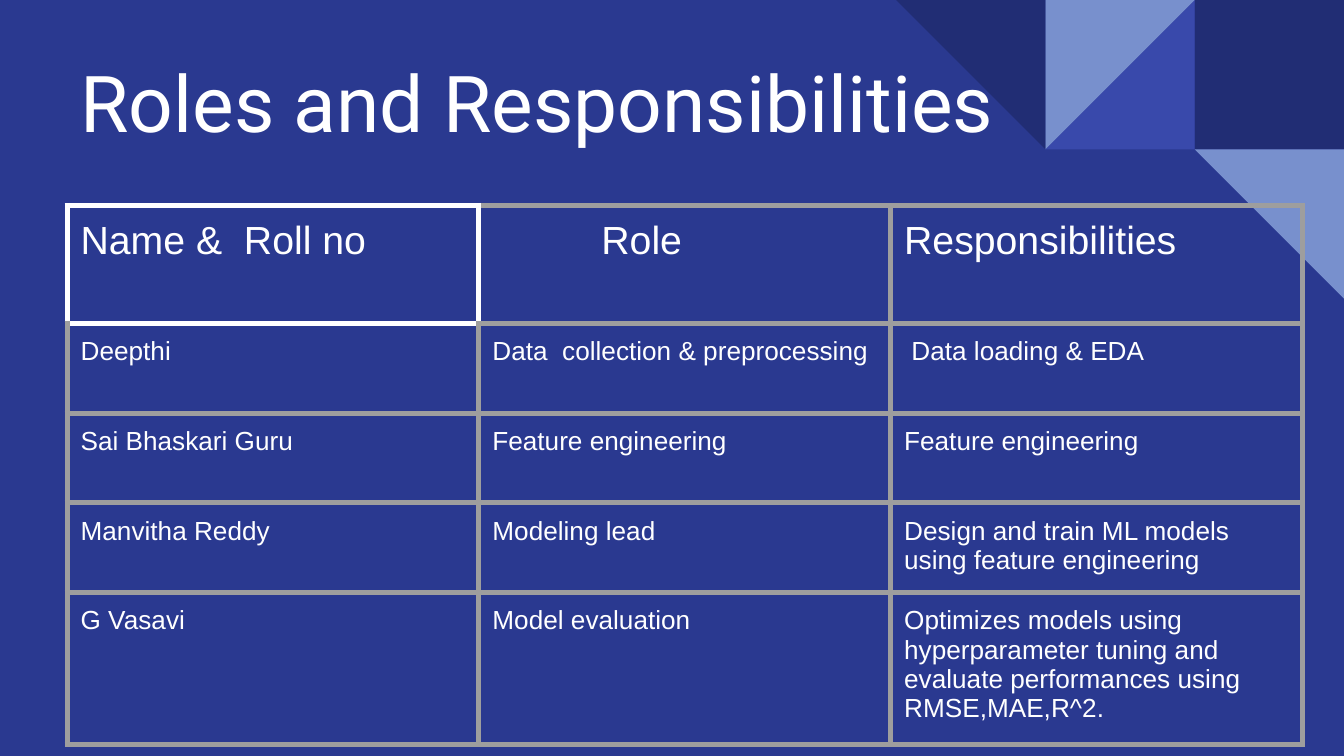
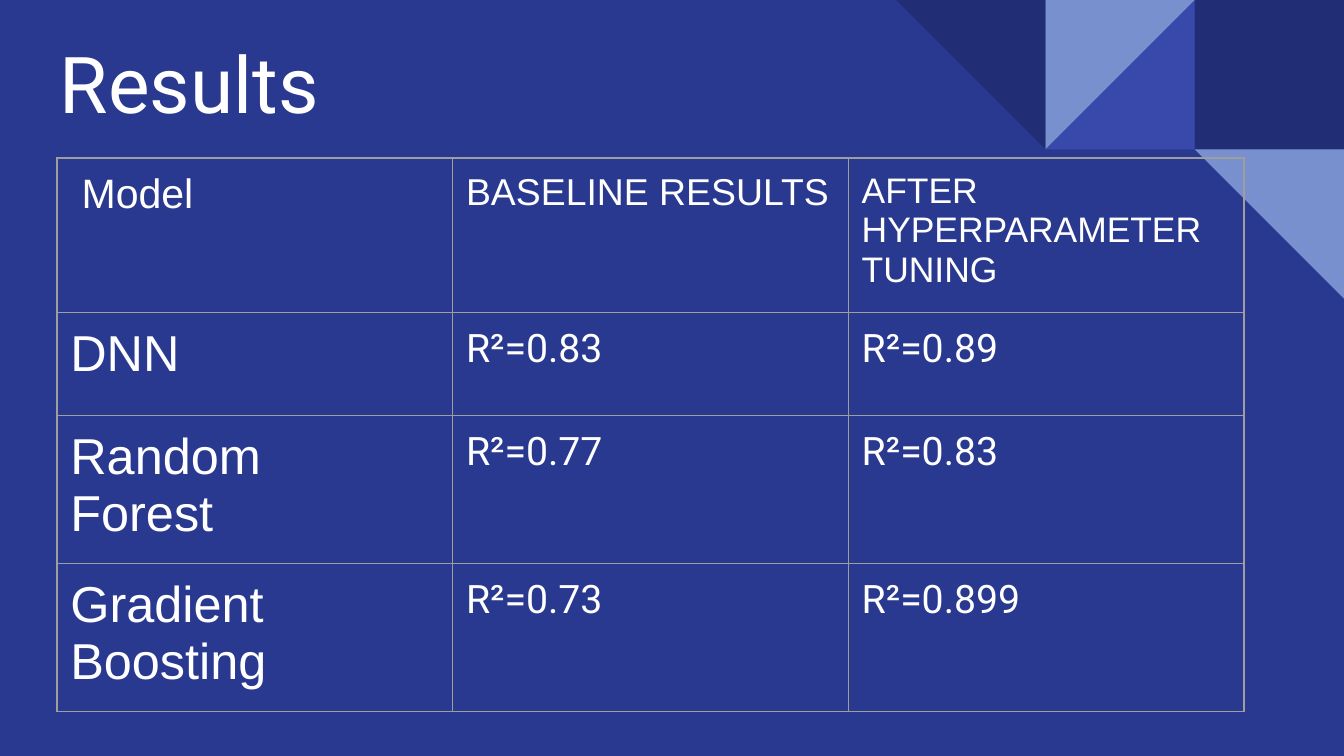
from dataclasses import dataclass
from typing import NamedTuple, Optional

from lxml.etree import SubElement
from pptx import Presentation
from pptx.dml.color import RGBColor
from pptx.enum.shapes import MSO_SHAPE
from pptx.enum.text import MSO_ANCHOR
from pptx.oxml.ns import qn
from pptx.presentation import Presentation as Deck
from pptx.slide import Slide
from pptx.table import _Cell as Cell
from pptx.util import Pt


@dataclass(frozen=True)
class Theme:
    background: str = "2A3990"
    navy: str = "212D74"
    indigo: str = "3949AB"
    sky: str = "7890CD"
    text: str = "FFFFFF"
    grid: str = "9E9E9E"
    title_font: str = "Roboto"
    body_font: str = "Arial"
    title_size: float = 42
    header_size: float = 21
    body_size: float = 14
    model_header_size: float = 22
    baseline_header_size: float = 20
    tuned_header_size: float = 19
    model_size: float = 27
    score_size: float = 21


THEME = Theme()
SLIDE_WIDTH, SLIDE_HEIGHT = 720, 405
TILE = 80
INSET = 7.2


class Tile(NamedTuple):
    """One square of the corner mosaic; columns count from the right edge."""
    column: int
    row: int
    colour: str
    shape: MSO_SHAPE = MSO_SHAPE.RIGHT_TRIANGLE
    rotation: float = 0


class Entry(NamedTuple):
    text: str
    size: float
    font: str = THEME.body_font
    indent: float = 0
    fill: Optional[str] = None


@dataclass(frozen=True)
class Grid:
    left: float
    top: float
    column_width: float
    row_heights: list[float]
    border_width: float
    rows: list[list[Entry]]
    outline_first_cell: bool = False


@dataclass(frozen=True)
class Page:
    title: str
    title_left: float
    title_top: float
    grid: Grid


MOSAIC = [
    Tile(1, 0, THEME.navy, MSO_SHAPE.RECTANGLE),
    Tile(2, 0, THEME.indigo, rotation=270),
    Tile(2, 0, THEME.sky, rotation=90),
    Tile(3, 0, THEME.navy, rotation=180),
    Tile(1, 1, THEME.sky, rotation=180),
]


def member(name: str, role: str, duty: str) -> list[Entry]:
    return [Entry(text, THEME.body_size) for text in (name, role, duty)]


def result(model: str, baseline: str, tuned: str) -> list[Entry]:
    scores = [Entry(f"R²={score}", THEME.score_size, THEME.title_font)
              for score in (baseline, tuned)]
    return [Entry(model, THEME.model_size), *scores]


ROLES = Grid(
    left=36, top=110, column_width=220.6, row_heights=[63.4] + [48] * 4,
    border_width=3, outline_first_cell=True,
    rows=[
        [Entry("Name &  Roll no", THEME.header_size),
         Entry("Role", THEME.header_size, indent=58.4),
         Entry("Responsibilities", THEME.header_size)],
        member("Deepthi", "Data  collection & preprocessing", " Data loading & EDA"),
        member("Sai Bhaskari Guru", "Feature engineering", "Feature engineering"),
        member("Manvitha Reddy", "Modeling lead",
               "Design and train ML models using feature engineering"),
        member("G Vasavi", "Model evaluation",
               "Optimizes models using hyperparameter tuning and "
               "evaluate performances using RMSE,MAE,R^2."),
    ],
)

RESULTS = Grid(
    left=30.5, top=84.7, column_width=212, row_heights=[55.2] * 4, border_width=0.75,
    rows=[
        [Entry(" Model", THEME.model_header_size, fill=THEME.background),
         Entry("BASELINE RESULTS", THEME.baseline_header_size),
         Entry("AFTER HYPERPARAMETER TUNING", THEME.tuned_header_size)],
        result("DNN", "0.83", "0.89"),
        result("Random\vForest", "0.77", "0.83"),
        result("Gradient\vBoosting", "0.73", "0.899"),
    ],
)

PAGES = [
    Page("Roles and Responsibilities", 36, 20, ROLES),
    Page("Results", 25, 10, RESULTS),
]


def rgb(colour: str) -> RGBColor:
    return RGBColor.from_string(colour)


def format_runs(text_frame, font: str, size: float) -> None:
    for para in text_frame.paragraphs:
        for span in para.runs:
            span.font.name = font
            span.font.size = Pt(size)
            span.font.color.rgb = rgb(THEME.text)


def draw_mosaic(slide: Slide) -> None:
    for tile in MOSAIC:
        shape = slide.shapes.add_shape(
            tile.shape, Pt(SLIDE_WIDTH - tile.column * TILE), Pt(tile.row * TILE),
            Pt(TILE), Pt(TILE))
        shape.rotation = tile.rotation
        shape.fill.solid()
        shape.fill.fore_color.rgb = rgb(tile.colour)
        shape.line.fill.background()
        shape.shadow.inherit = False


def draw_title(slide: Slide, page: Page) -> None:
    box = slide.shapes.add_textbox(
        Pt(page.title_left), Pt(page.title_top), Pt(647), Pt(66.4))
    frame = box.text_frame
    frame.word_wrap = True
    frame.vertical_anchor = MSO_ANCHOR.BOTTOM
    frame.margin_left = frame.margin_right = Pt(INSET)
    frame.margin_top = frame.margin_bottom = Pt(INSET)
    frame.text = page.title
    format_runs(frame, THEME.title_font, THEME.title_size)


def set_borders(cell: Cell, width: float, colours: dict[str, str]) -> None:
    properties = cell._tc.get_or_add_tcPr()
    for side, colour in colours.items():
        line = SubElement(properties, qn(f"a:ln{side}"), w=str(Pt(width)))
        fill = SubElement(line, qn("a:solidFill"))
        SubElement(fill, qn("a:srgbClr"), val=colour)


def border_colours(grid: Grid, row: int, column: int) -> dict[str, str]:
    """Colour each side, with the first cell's outline shared by its neighbours."""
    colours = dict.fromkeys("LRTB", THEME.grid)
    if grid.outline_first_cell:
        outlined = {(0, 0): "LRTB", (0, 1): "L", (1, 0): "T"}.get((row, column), "")
        colours.update(dict.fromkeys(outlined, THEME.text))
    return colours


def fill_cell(cell: Cell, entry: Entry) -> None:
    cell.margin_left = Pt(INSET + entry.indent)
    cell.margin_right = cell.margin_top = cell.margin_bottom = Pt(INSET)
    if entry.fill:
        cell.fill.solid()
        cell.fill.fore_color.rgb = rgb(entry.fill)
    else:
        cell.fill.background()
    cell.text_frame.text = entry.text
    format_runs(cell.text_frame, entry.font, entry.size)


def draw_grid(slide: Slide, grid: Grid) -> None:
    column_count = len(grid.rows[0])
    table = slide.shapes.add_table(
        len(grid.rows), column_count, Pt(grid.left), Pt(grid.top),
        Pt(grid.column_width * column_count), Pt(sum(grid.row_heights))).table
    table.first_row = table.horz_banding = False
    for column in table.columns:
        column.width = Pt(grid.column_width)
    for row, height in zip(table.rows, grid.row_heights):
        row.height = Pt(height)
    for row_index, entries in enumerate(grid.rows):
        for column_index, entry in enumerate(entries):
            cell = table.cell(row_index, column_index)
            set_borders(cell, grid.border_width,
                        border_colours(grid, row_index, column_index))
            fill_cell(cell, entry)


def add_page(deck: Deck, page: Page) -> None:
    slide = deck.slides.add_slide(deck.slide_layouts[6])
    slide.background.fill.solid()
    slide.background.fill.fore_color.rgb = rgb(THEME.background)
    draw_mosaic(slide)
    draw_title(slide, page)
    draw_grid(slide, page.grid)


def main() -> None:
    deck = Presentation()
    deck.slide_width, deck.slide_height = Pt(SLIDE_WIDTH), Pt(SLIDE_HEIGHT)
    for page in PAGES:
        add_page(deck, page)
    deck.save("out.pptx")


if __name__ == "__main__":
    main()
